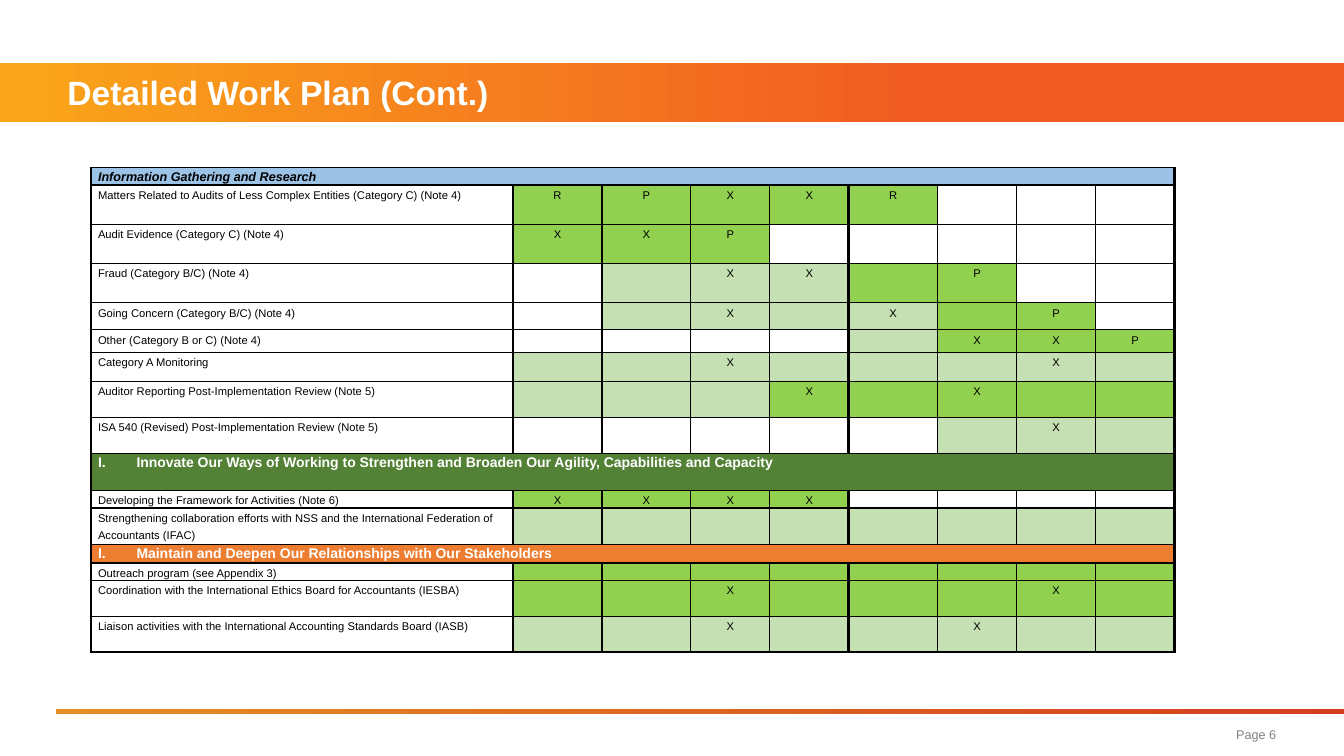
from lxml import etree
from pptx import Presentation
from pptx.dml.color import RGBColor
from pptx.enum.shapes import MSO_SHAPE
from pptx.enum.text import MSO_ANCHOR, PP_ALIGN
from pptx.oxml.ns import qn
from pptx.util import Cm, Pt

RECTANGLE = MSO_SHAPE.RECTANGLE
TOP, MIDDLE = MSO_ANCHOR.TOP, MSO_ANCHOR.MIDDLE
LEFT, CENTER, RIGHT = PP_ALIGN.LEFT, PP_ALIGN.CENTER, PP_ALIGN.RIGHT

# Content
TITLE = "Detailed Work Plan (Cont.)"
PAGE_LABEL = "Page 6"

# Band rows: height, text, fill, format
# Task rows: height, text, shading and mark of each period
# Shading: G = strong green, L = light green, - = none
ROWS = [
    (0.44, "Information Gathering and Research", "9CC2E5",
     dict(size=9, bold=True, italic=True)),
    (0.99, "Matters Related to Audits of Less Complex Entities (Category C) (Note 4)",
     "GGGGG---", "RPXXR---"),
    (0.99, "Audit Evidence (Category C) (Note 4)", "GGG-----", "XXP-----"),
    (0.99, "Fraud (Category B/C) (Note 4)", "-LLLGG--", "--XX-P--"),
    (0.68, "Going Concern (Category B/C) (Note 4)", "-LLLLGG-", "--X-X-P-"),
    (0.57, "Other (Category B or C) (Note 4)", "----LGGG", "-----XXP"),
    (0.73, "Category A Monitoring", "LLLLLLLL", "--X---X-"),
    (0.91, "Auditor Reporting Post-Implementation Review (Note 5)",
     "LLLGGGGG", "---X-X--"),
    (0.91, "ISA 540 (Revised) Post-Implementation Review (Note 5)",
     "-----LLL", "------X-"),
    (0.93, "Innovate Our Ways of Working to Strengthen and Broaden Our Agility, "
     "Capabilities and Capacity", "538135",
     dict(size=10, color="FFFFFF", bold=True, numbered=True)),
    (0.44, "Developing the Framework for Activities (Note 6)",
     "GGGG----", "XXXX----"),
    (0.92, "Strengthening collaboration efforts with NSS and the International "
     "Federation of Accountants (IFAC)", "LLLLLLLL", "--------"),
    (0.47, "Maintain and Deepen Our Relationships with Our Stakeholders", "ED7D31",
     dict(size=10, color="FFFFFF", bold=True, numbered=True)),
    (0.44, "Outreach program (see Appendix 3)", "GGGGGGGG", "--------"),
    (0.9, "Coordination with the International Ethics Board for Accountants (IESBA)",
     "GGGGGGGG", "--X---X-"),
    (0.9, "Liaison activities with the International Accounting Standards Board (IASB)",
     "LLLLLLLL", "--X--X--"),
]
SHADES = {"G": "92D050", "L": "C5E0B3", "-": None}
COLUMNS = [10.64, 2.24, 2.24, 1.99, 1.99, 2.24, 1.99, 1.99, 1.99]
THICK_EDGES = {0, 1, 5, 9}
THIN, THICK = 1, 2.25


def rgb(code):
    return RGBColor.from_string(code)


def write(frame, text, size=8, color="000000", bold=False, italic=False,
          align=LEFT, spacing=None, numbered=False):
    frame.word_wrap = True
    para = frame.paragraphs[0]
    para.alignment = align
    if spacing:
        para.line_spacing = Pt(spacing)
    if numbered:
        settings = para._p.get_or_add_pPr()
        settings.set("marL", str(Cm(0.97)))
        settings.set("indent", str(-Cm(0.97)))
        etree.SubElement(settings, qn("a:buAutoNum"), type="romanUcPeriod")
    para.font.size = Pt(size)
    if text:
        span = para.add_run()
        span.text = text
        font = span.font
        font.name, font.size = "Arial", Pt(size)
        font.bold, font.italic = bold, italic
        font.color.rgb = rgb(color)


def add_label(page, text, left, top, width, height, **style):
    box = page.shapes.add_textbox(Cm(left), Cm(top), Cm(width), Cm(height))
    frame = box.text_frame
    frame.margin_left = frame.margin_right = 0
    frame.margin_top = frame.margin_bottom = 0
    frame.vertical_anchor = MIDDLE
    write(frame, text, **style)


def add_bar(page, left, top, width, height, stops):
    bar = page.shapes.add_shape(RECTANGLE, Cm(left), Cm(top), Cm(width), Cm(height))
    bar.shadow.inherit = False
    bar.line.fill.background()
    bar.fill.gradient()
    bar.fill.gradient_angle = 0
    for stop, (position, color) in zip(bar.fill.gradient_stops, stops):
        stop.position = position
        stop.color.rgb = rgb(color)


def format_cell(cell, text, fill, edges, **style):
    cell.margin_left = cell.margin_right = Cm(0.18)
    cell.margin_top = cell.margin_bottom = 0
    cell.vertical_anchor = TOP
    settings = cell._tc.get_or_add_tcPr()
    for side, width in zip("LRTB", edges):
        line = etree.SubElement(settings, qn("a:ln" + side), w=str(Pt(width)))
        paint = etree.SubElement(line, qn("a:solidFill"))
        etree.SubElement(paint, qn("a:srgbClr"), val="000000")
    if fill:
        cell.fill.solid()
        cell.fill.fore_color.rgb = rgb(fill)
    else:
        cell.fill.background()
    write(cell.text_frame, text, spacing=12, **style)


def add_plan(page, left, top):
    heights = [row[0] for row in ROWS]
    table = page.shapes.add_table(len(ROWS), len(COLUMNS), Cm(left), Cm(top),
                                  Cm(sum(COLUMNS)), Cm(sum(heights))).table
    table.first_row = table.horz_banding = False
    for column, width in zip(table.columns, COLUMNS):
        column.width = Cm(width)
    for index, (height, text, shading, detail) in enumerate(ROWS):
        table.rows[index].height = Cm(height)
        bottom = THICK if index == len(ROWS) - 1 else THIN
        is_band = isinstance(detail, dict)
        if is_band:
            table.cell(index, 0).merge(table.cell(index, len(COLUMNS) - 1))
        for number in range(len(COLUMNS)):
            cell = table.cell(index, number)
            sides = [THICK if is_band or edge in THICK_EDGES else THIN
                     for edge in (number, number + 1)]
            edges = (*sides, THIN, bottom)
            if is_band:
                style = detail if number == 0 else {}
                format_cell(cell, text if number == 0 else "", shading, edges, **style)
            elif number == 0:
                format_cell(cell, text, None, edges)
            else:
                mark = detail[number - 1].replace("-", "")
                format_cell(cell, mark, SHADES[shading[number - 1]], edges, align=CENTER)


def main():
    deck = Presentation()
    deck.slide_width, deck.slide_height = Cm(33.87), Cm(19.05)
    page = deck.slides.add_slide(deck.slide_layouts[6])

    # Title banner and footer rule
    add_bar(page, 0, 1.58, 33.87, 1.5, [(0, "FAA61A"), (0.7, "F15A22")])
    add_bar(page, 1.41, 17.86, 32.46, 0.13, [(0, "E58D23"), (1, "D53D20")])
    add_label(page, TITLE, 1.7, 1.58, 30.48, 1.5, size=24, color="FFFFFF", bold=True)
    add_label(page, PAGE_LABEL, 24.46, 18.08, 7.7, 0.84, size=9, color="808080",
              align=RIGHT)

    # Work plan table
    add_plan(page, 2.29, 4.22)
    deck.save("out.pptx")


if __name__ == "__main__":
    main()
